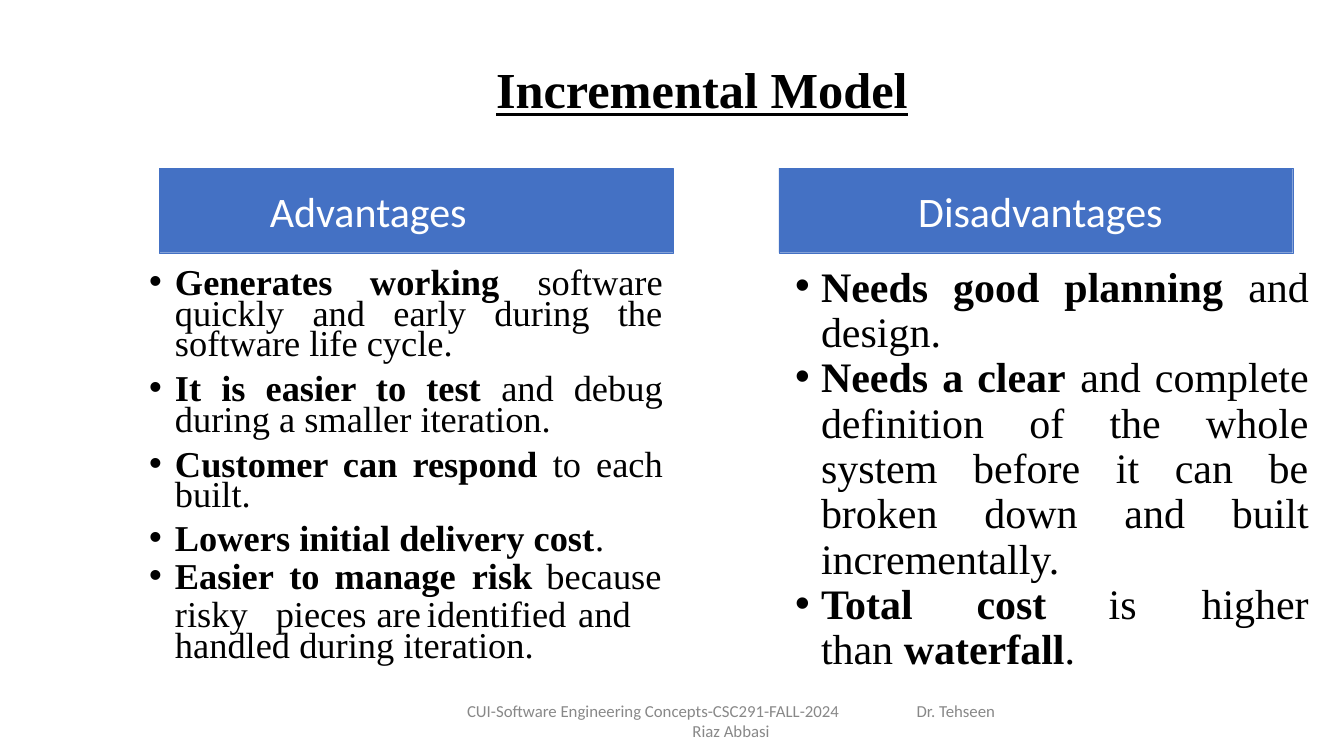
from dataclasses import dataclass

from lxml.etree import SubElement
from pptx import Presentation
from pptx.dml.color import RGBColor
from pptx.enum.shapes import MSO_SHAPE
from pptx.enum.text import MSO_ANCHOR, MSO_AUTO_SIZE, PP_ALIGN
from pptx.oxml.ns import qn
from pptx.util import Cm, Pt


@dataclass(frozen=True)
class Theme:
    ink: RGBColor = RGBColor(0x00, 0x00, 0x00)
    paper: RGBColor = RGBColor(0xFF, 0xFF, 0xFF)
    accent: RGBColor = RGBColor(0x44, 0x71, 0xC4)
    muted: RGBColor = RGBColor(0x88, 0x88, 0x88)
    serif: str = "Times New Roman"
    sans: str = "Calibri"
    title: int = 36
    heading: int = 30
    footer: int = 12


THEME = Theme()
HANG = 0.65


@dataclass
class Item:
    phrases: tuple
    before: float = 0
    tabs: tuple = ()
    bullet: bool = True


@dataclass
class Column:
    heading: str
    indent: float
    dx: float
    dy: float
    size: int
    leading: float
    items: list


ADVANTAGES = Column("Advantages", 2.79, -0.25, 2.62, 26, 21.8, [
    Item(("Generates working", " software quickly and early during the software life cycle.")),
    Item(("It is easier to test", " and debug during a smaller iteration."), 10.4),
    Item(("Customer can respond", " to each built."), 10.4),
    Item(("Lowers initial delivery cost", "."), 9.6),
    Item(("Easier\tto\tmanage\trisk\t", "because"), 5.3, (3.53, 4.67, 8.13, 10.01)),
    Item(("", "risky\tpieces\tare\tidentified\tand handled during iteration."), 5.3,
         (3.05, 5.87, 7.54, 11.61), False),
])
DISADVANTAGES = Column("Disadvantages", 3.51, 0.41, 2.44, 30, 32.4, [
    Item(("Needs good planning", " and design.")),
    Item(("Needs a clear", " and complete definition of the whole system before it can be "
          "broken down and built incrementally.")),
    Item(("Total\tcost\t", "is\thigher than ", "waterfall", "."), 0, (4.57, 7.9, 10.24)),
])


def style(r, font, size, color, bold=False):
    r.font.name = font
    r.font.size = Pt(size)
    r.font.bold = bold
    r.font.color.rgb = color


def set_frame(tf, anchor=MSO_ANCHOR.TOP, left=0):
    tf.word_wrap = True
    tf.auto_size = MSO_AUTO_SIZE.NONE
    tf.vertical_anchor = anchor
    tf.margin_left = Cm(left)
    tf.margin_top = tf.margin_right = tf.margin_bottom = 0


def place(sp, x, y, w, h):
    sp.left, sp.top, sp.width, sp.height = Cm(x), Cm(y), Cm(w), Cm(h)


def add_tabs(p, stops):
    tabs = SubElement(p._p.get_or_add_pPr(), qn("a:tabLst"))
    for stop in stops:
        SubElement(tabs, qn("a:tab"), pos=str(Cm(stop)), algn="l")


def add_title(s, x, y, w, h):
    sp = s.shapes.title
    place(sp, x, y, w, h)
    tf = sp.text_frame
    tf.text = "Incremental Model"
    set_frame(tf)
    p = tf.paragraphs[0]
    p.alignment = PP_ALIGN.LEFT
    style(p.runs[0], THEME.serif, THEME.title, THEME.ink, True)
    p.runs[0].font.underline = True


def add_heading(s, column, x, y, w, h):
    sp = s.shapes.add_shape(MSO_SHAPE.RECTANGLE, Cm(x), Cm(y), Cm(w), Cm(h))
    sp.shadow.inherit = False
    sp.fill.solid()
    sp.fill.fore_color.rgb = THEME.accent
    sp.line.color.rgb = THEME.accent
    sp.line.width = Pt(0.25)
    tf = sp.text_frame
    tf.text = column.heading
    set_frame(tf, MSO_ANCHOR.MIDDLE, column.indent)
    tf.paragraphs[0].alignment = PP_ALIGN.LEFT
    style(tf.paragraphs[0].runs[0], THEME.sans, THEME.heading, THEME.paper)


def add_item(p, item, column):
    p.alignment = PP_ALIGN.LEFT if item.tabs else PP_ALIGN.JUSTIFY
    p.line_spacing = Pt(column.leading)
    p.space_before = Pt(item.before)
    pPr = p._p.get_or_add_pPr()
    pPr.set("marL", str(Cm(HANG)))
    pPr.set("indent", str(-Cm(HANG) if item.bullet else 0))
    if not item.bullet:
        SubElement(pPr, qn("a:buNone"))
    if item.tabs:
        add_tabs(p, item.tabs)
    for i, phrase in enumerate(item.phrases):
        if phrase:
            r = p.add_run()
            r.text = phrase
            style(r, THEME.serif, column.size, THEME.ink, i % 2 == 0)


def add_column(s, body, column, x, y, w, h):
    add_heading(s, column, x, y, w, 2.13)
    place(body, x + column.dx, y + column.dy, w, h - column.dy)
    tf = body.text_frame
    set_frame(tf)
    for i, item in enumerate(column.items):
        p = tf.add_paragraph() if i else tf.paragraphs[0]
        add_item(p, item, column)


def add_footer(s, x, y, w, h):
    tf = s.shapes.add_textbox(Cm(x), Cm(y), Cm(w), Cm(h)).text_frame
    set_frame(tf)
    lines = ("CUI-Software Engineering Concepts-CSC291-FALL-2024\tDr. Tehseen", "Riaz Abbasi")
    tf.text = "\n".join(lines)
    for p in tf.paragraphs:
        p.alignment = PP_ALIGN.CENTER
        style(p.runs[0], THEME.sans, THEME.footer, THEME.muted)
    add_tabs(tf.paragraphs[0], (11.33,))


def main():
    prs = Presentation()
    prs.slide_width, prs.slide_height = Cm(33.87), Cm(19.05)
    s = prs.slides.add_slide(prs.slide_layouts[3])
    add_title(s, 12.5, 1.47, 11.86, 1.57)
    add_column(s, s.placeholders[1], ADVANTAGES, 4.01, 4.24, 12.95, 12.8)
    add_column(s, s.placeholders[2], DISADVANTAGES, 19.63, 4.24, 12.95, 12.8)
    add_footer(s, 11.73, 17.65, 13.39, 1.09)
    prs.save("out.pptx")


if __name__ == "__main__":
    main()
